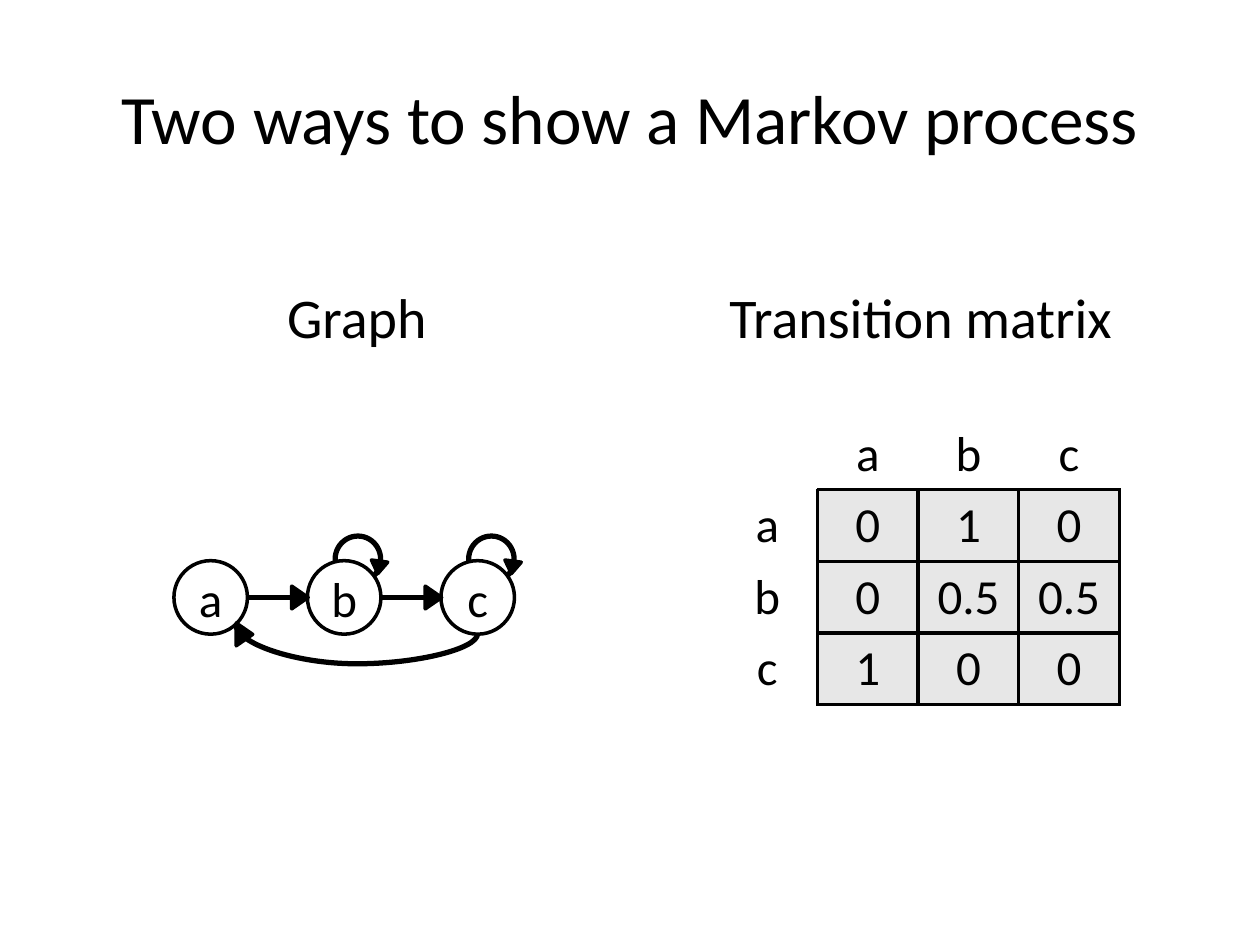
from dataclasses import dataclass

from pptx import Presentation
from pptx.dml.color import RGBColor
from pptx.enum.shapes import MSO_CONNECTOR as Link, MSO_SHAPE as Shape
from pptx.enum.text import MSO_ANCHOR as Anchor, PP_ALIGN as Align
from pptx.oxml.ns import qn
from pptx.util import Pt
from lxml.etree import SubElement

BLACK = RGBColor(0, 0, 0)
WHITE = RGBColor(255, 255, 255)
GRAY = RGBColor(0xE7, 0xE7, 0xE7)
FONT = "Calibri"

STATES = ["a", "b", "c"]
MATRIX = [["0", "1", "0"], ["0", "0.5", "0.5"], ["1", "0", "0"]]

NODE_LEFT, NODE_TOP, NODE_SIZE, NODE_STEP = 99.4, 320.4, 42, 76.3
NODE_MIDDLE = NODE_TOP + NODE_SIZE / 2
COLUMN_WIDTH, ROW_HEIGHT = 57.5, 40.9


@dataclass
class Area:
    left: float
    top: float
    width: float
    height: float

    def lengths(self):
        return Pt(self.left), Pt(self.top), Pt(self.width), Pt(self.height)


def style_text(frame, size: float, align=None) -> None:
    for para in frame.paragraphs:
        para.alignment = align
        for span in para.runs:
            span.font.name = FONT
            span.font.size = Pt(size)
            span.font.color.rgb = BLACK


def add_figure(page, kind, area: Area, fill: RGBColor, weight: float, turn: float = 0):
    figure = page.shapes.add_shape(kind, *area.lengths())
    figure.shadow.inherit = False
    figure.fill.solid()
    figure.fill.fore_color.rgb = fill
    figure.line.color.rgb = BLACK
    figure.line.width = Pt(weight)
    figure.rotation = turn
    return figure


def add_node(page, left: float, name: str) -> None:
    node = add_figure(page, Shape.OVAL, Area(left, NODE_TOP, NODE_SIZE, NODE_SIZE), WHITE, 2)
    node.text_frame.text = name
    node.text_frame.vertical_anchor = Anchor.MIDDLE
    style_text(node.text_frame, 28, Align.CENTER)


def add_head(page, area: Area, turn: float) -> None:
    add_figure(page, Shape.ISOSCELES_TRIANGLE, area, BLACK, 2, turn)


def add_link(page, kind, x1: float, y1: float, x2: float, y2: float):
    link = page.shapes.add_connector(kind, Pt(x1), Pt(y1), Pt(x2), Pt(y2))
    link.line.color.rgb = BLACK
    link.line.width = Pt(3)
    SubElement(link._element.spPr, qn("a:effectLst"))
    return link


def add_heading(page, area: Area, text: str) -> None:
    box = page.shapes.add_textbox(*area.lengths())
    box.text_frame.word_wrap = False
    box.text_frame.text = text
    style_text(box.text_frame, 32)


def set_borders(cell, black_sides: str) -> None:
    properties = cell._tc.get_or_add_tcPr()
    for side in "LRTB":
        black = side in black_sides
        border = SubElement(properties, qn(f"a:ln{side}"), w=str(Pt(2.25 if black else 1)))
        fill = SubElement(border, qn("a:solidFill"))
        SubElement(fill, qn("a:srgbClr"), val=str(BLACK if black else WHITE))


def add_matrix(page) -> None:
    rows = [["", *STATES]] + [[name, *row] for name, row in zip(STATES, MATRIX)]
    count = len(rows)
    area = Area(409.7, 239, count * COLUMN_WIDTH, count * ROW_HEIGHT)
    table = page.shapes.add_table(count, count, *area.lengths()).table
    table.first_row = table.horz_banding = False
    for i, values in enumerate(rows):
        table.rows[i].height = Pt(ROW_HEIGHT)
        table.columns[i].width = Pt(COLUMN_WIDTH)
        for j, value in enumerate(values):
            cell = table.cell(i, j)
            if i and j:
                set_borders(cell, "LRTB")
            else:
                set_borders(cell, "R" if i else "B" if j else "")
            cell.fill.solid()
            cell.fill.fore_color.rgb = GRAY if i and j else WHITE
            cell.text_frame.text = value
            style_text(cell.text_frame, 28, Align.CENTER)


def add_graph(page) -> None:
    lefts = [NODE_LEFT + i * NODE_STEP for i in range(len(STATES))]

    # Self-loops of b and c lie behind the nodes
    for left in lefts[1:]:
        add_figure(page, Shape.OVAL, Area(left + 15.8, 306.3, 26, 26.5), WHITE, 3)
    for left, name in zip(lefts, STATES):
        add_node(page, left, name)
    for left in lefts[1:]:
        add_head(page, Area(left + 36, 320.6, 9.4, 7.2), 187.7)

    # Steps to the next state
    for left, following in zip(lefts, lefts[1:]):
        add_link(page, Link.STRAIGHT, left + NODE_SIZE, NODE_MIDDLE, following, NODE_MIDDLE)
        add_head(page, Area(following - 10.8, NODE_MIDDLE - 4.7, 13, 9.4), 90)

    # Way back from c to a: a curve turned by a quarter
    curve = add_link(page, Link.CURVE, 206.7, 290.2, 200.9, 428.4)
    properties = curve._element.spPr
    properties.find(qn("a:xfrm")).set("rot", str(90 * 60000))
    adjustments = properties.find(qn("a:prstGeom")).find(qn("a:avLst"))
    SubElement(adjustments, qn("a:gd"), name="adj1", fmla="val -294300")
    add_head(page, Area(133.2, 357.8, 13, 9.4), 90)


def main() -> None:
    deck = Presentation()
    deck.slide_width, deck.slide_height = Pt(720), Pt(540)
    page = deck.slides.add_slide(deck.slide_layouts[5])

    # Title and headings
    title = page.shapes.title
    title.left, title.top, title.width, title.height = Area(36, 21.6, 648, 90).lengths()
    title.text_frame.text = "Two ways to show a Markov process"
    title.text_frame.vertical_anchor = Anchor.MIDDLE
    style_text(title.text_frame, 39.6, Align.CENTER)
    add_heading(page, Area(157, 157.7, 95.8, 46), "Graph")
    add_heading(page, Area(409.7, 157.7, 239, 46), "Transition matrix")

    add_graph(page)
    add_matrix(page)
    deck.save("out.pptx")


if __name__ == "__main__":
    main()
